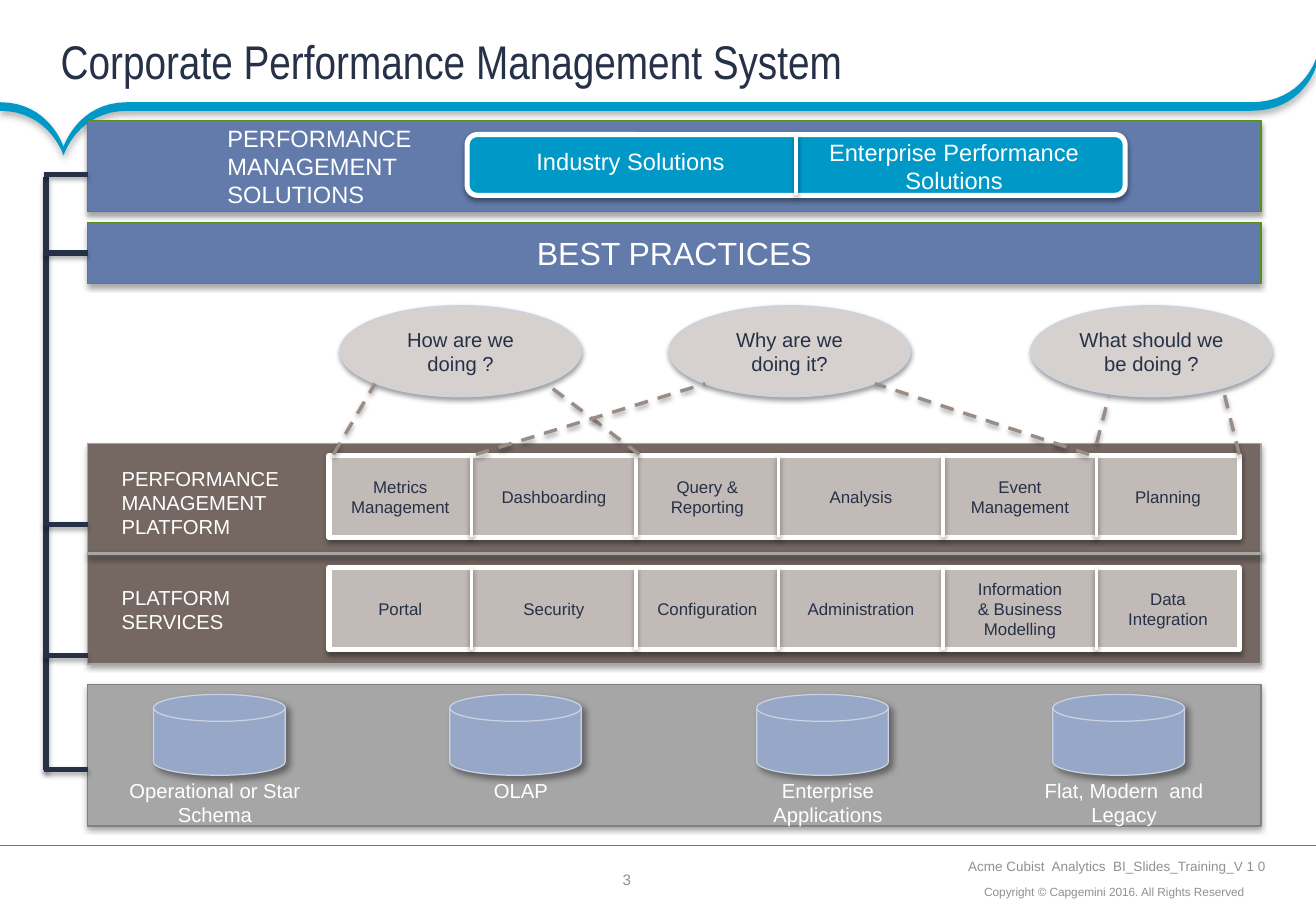
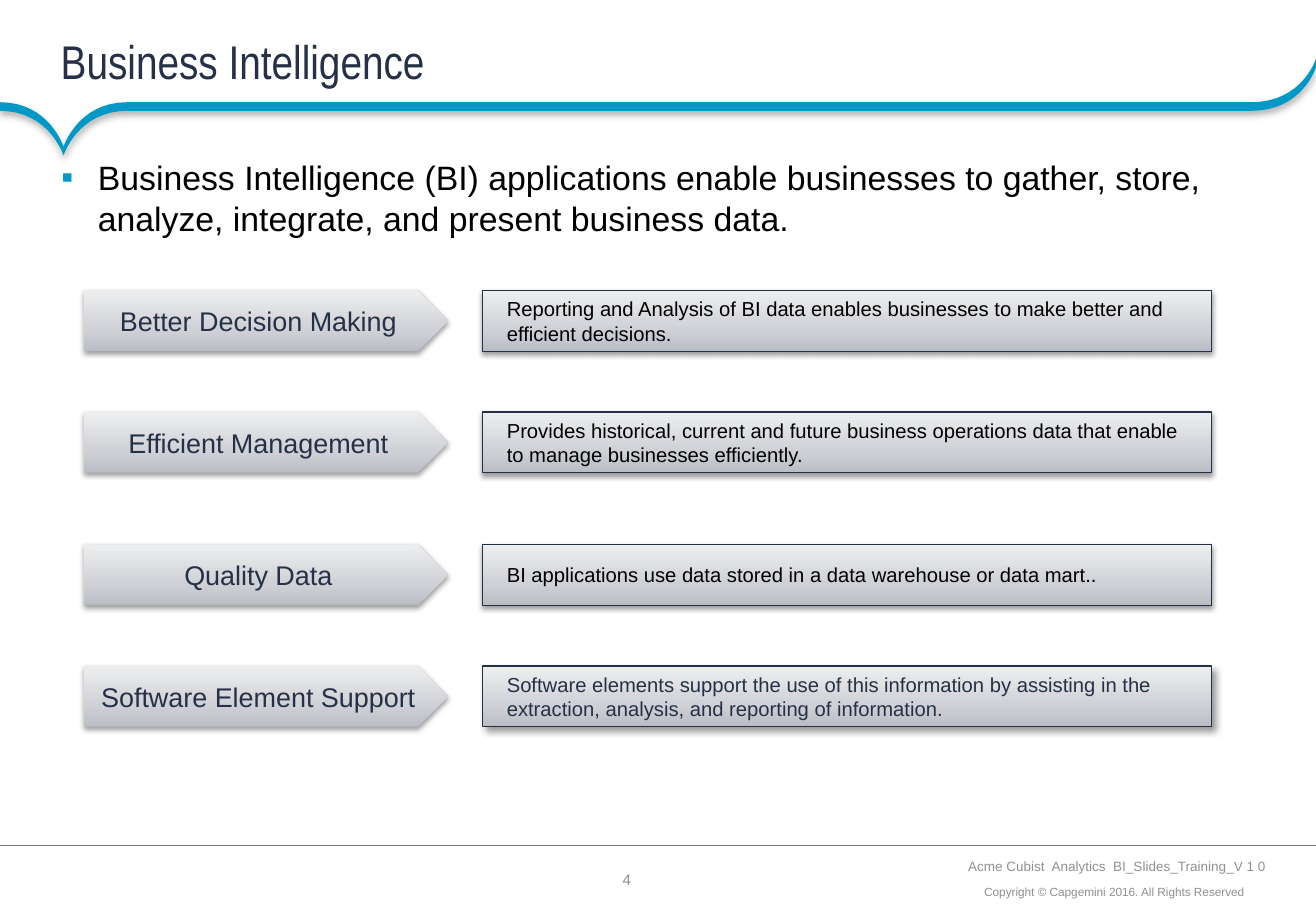
from dataclasses import dataclass

from lxml import etree
from pptx import Presentation
from pptx.dml.color import RGBColor
from pptx.enum.dml import MSO_LINE
from pptx.enum.shapes import MSO_CONNECTOR, MSO_SHAPE
from pptx.enum.text import MSO_ANCHOR, PP_ALIGN
from pptx.oxml.ns import qn
from pptx.util import Inches, Pt

RECT = MSO_SHAPE.RECTANGLE
ROUNDED = MSO_SHAPE.ROUNDED_RECTANGLE
ELLIPSE = MSO_SHAPE.OVAL
DISK = MSO_SHAPE.FLOWCHART_MAGNETIC_DISK
ARROW = MSO_SHAPE.PENTAGON
STRAIGHT = MSO_CONNECTOR.STRAIGHT
DASH = MSO_LINE.DASH
LEFT, CENTER, RIGHT = PP_ALIGN.LEFT, PP_ALIGN.CENTER, PP_ALIGN.RIGHT
TOP, MIDDLE, BOTTOM = MSO_ANCHOR.TOP, MSO_ANCHOR.MIDDLE, MSO_ANCHOR.BOTTOM
SIDE_TOP, SIDE_LEFT, SIDE_BOTTOM, SIDE_RIGHT = range(4)

WIDTH, HEIGHT = Inches(10.83), Inches(7.5)
COLS, ROWS = 120, 90


@dataclass(frozen=True)
class Theme:
    font: str = "Arial"
    title_font: str = "Arial Narrow"
    title_size: int = 28
    lead_size: int = 20
    banner_size: int = 19
    arrow_size: int = 16
    heading_size: int = 14
    label_size: int = 12
    cell_size: int = 10
    number_size: int = 9
    footer_size: int = 8
    copyright_size: int = 7
    navy: str = "263147"
    accent: str = "0098C7"
    white: str = "FFFFFF"
    black: str = "000000"
    muted: str = "909090"
    rule: str = "707C80"
    band: str = "627BAB"
    band_line: str = "578E1D"
    brown: str = "756862"
    cell: str = "C2BAB6"
    bubble: str = "D6D1CE"
    dash: str = "998C85"
    gray: str = "A6A6A6"
    gray_line: str = "808080"
    disk: str = "97A7C7"
    disk_line: str = "CBD3E3"
    box_line: str = "243046"
    metal: tuple = ((0, "BABDC4"), (35, "CFD1D6"), (100, "EDEEEF"))
    soft: tuple = (38, 3.1, 1.6, 90)
    panel: tuple = (35, 3.1, 1.8, 90)
    slanted: tuple = (40, 4, 3, 45)
    ribbon: tuple = (31, 4, 2, 90)


T = Theme()


def col(n):
    return round(WIDTH * n / COLS)


def row(n):
    return round(HEIGHT * n / ROWS)


def place(box):
    x, y, w, h = box
    return col(x), row(y), col(w), row(h)


def rgb(color):
    return RGBColor.from_string(color)


def set_shadow(sp, shadow):
    effects = etree.SubElement(sp._element.spPr, qn("a:effectLst"))
    if shadow:
        alpha, blur, dist, angle = shadow
        outer = etree.SubElement(
            effects, qn("a:outerShdw"), blurRad=str(Pt(blur)), dist=str(Pt(dist)),
            dir=str(angle * 60000), algn="ctr", rotWithShape="0")
        color = etree.SubElement(outer, qn("a:srgbClr"), val=T.black)
        etree.SubElement(color, qn("a:alpha"), val=str(alpha * 1000))


def set_fill(sp, fill):
    if isinstance(fill, str):
        sp.fill.solid()
        sp.fill.fore_color.rgb = rgb(fill)
        return
    sp.fill.gradient()
    sp.fill.gradient_angle = 90
    stops = sp._element.spPr.find(".//" + qn("a:gsLst"))
    for stop in list(stops):
        stops.remove(stop)
    for pos, color in fill:
        stop = etree.SubElement(stops, qn("a:gs"), pos=str(pos * 1000))
        etree.SubElement(stop, qn("a:srgbClr"), val=color)


def style(sp, fill, line, weight, shadow):
    set_fill(sp, fill)
    if line:
        sp.line.color.rgb = rgb(line)
        sp.line.width = Pt(weight)
    else:
        sp.line.fill.background()
    set_shadow(sp, shadow)


def write(sp, text, size, color, align=CENTER, anchor=MIDDLE,
          insets=(0.1, 0.05, 0.1, 0.05), font=T.font, wrap=True):
    tf = sp.text_frame
    tf.text = text
    tf.word_wrap = wrap
    tf.vertical_anchor = anchor
    tf.margin_left, tf.margin_top, tf.margin_right, tf.margin_bottom = map(Inches, insets)
    for p in tf.paragraphs:
        p.alignment = align
        for r in p.runs:
            r.font.name = font
            r.font.size = Pt(size)
            r.font.color.rgb = rgb(color)
    return sp


def add_shape(s, kind, box, fill, line=None, weight=0.75, shadow=T.soft):
    sp = s.shapes.add_shape(kind, *place(box))
    style(sp, fill, line, weight, shadow)
    return sp


def add_text(s, box, *args, **options):
    return write(s.shapes.add_textbox(*place(box)), *args, **options)


def add_line(s, start, end, color, weight, shadow=None, dash=None, begin=None, finish=None):
    line = s.shapes.add_connector(
        STRAIGHT, col(start[0]), row(start[1]), col(end[0]), row(end[1]))
    if begin:
        line.begin_connect(*begin)
    if finish:
        line.end_connect(*finish)
    line.line.color.rgb = rgb(color)
    line.line.width = Pt(weight)
    if dash:
        line.line.dash_style = dash
    set_shadow(line, shadow)


def curve(a, b, c, d, steps=16):
    points = []
    for i in range(steps + 1):
        t = i / steps
        weights = ((1 - t) ** 3, 3 * t * (1 - t) ** 2, 3 * t * t * (1 - t), t ** 3)
        points.append(tuple(sum(w * p[k] for w, p in zip(weights, (a, b, c, d)))
                            for k in (0, 1)))
    return points


def add_ribbon(s):
    tip, end, level, thickness = (5.8, 14.5), (COLS, 5.8), 10.1, 0.85
    upper = (curve((0, level), (4.5, level), tip, tip)
             + curve(tip, tip, (7.1, level), (11.6, level))
             + curve((114.1, level), (118.8, level), end, end))
    lower = [(x, y + thickness) for x, y in reversed(upper)]
    points = [(col(x), row(y)) for x, y in upper + lower]
    outline = s.shapes.build_freeform(*points[0], scale=1.0)
    outline.add_line_segments(points[1:], close=True)
    style(outline.convert_to_shape(), T.accent, None, 0, T.ribbon)


def add_base(prs, number):
    s = prs.slides.add_slide(prs.slide_layouts[6])
    small = (0.04,) * 4
    add_text(s, (56.3, 86, 1.7, 1.8), number, T.number_size, T.muted,
             insets=(0,) * 4, wrap=False)
    add_ribbon(s)
    sp = add_text(s, (79.3, 86.9, 34.6, 2.4),
                  "Copyright © Capgemini 2016. All Rights Reserved",
                  T.copyright_size, T.muted, RIGHT, BOTTOM, small)
    sp.text_frame.paragraphs[0].line_spacing = 0.9
    add_text(s, (77.1, 84.4, 38.8, 2.4), "Acme Cubist  Analytics  BI_Slides_Training_V 1 0",
             T.footer_size, T.muted, RIGHT, BOTTOM, small)
    add_line(s, (COLS, 83.5), (0, 83.5), T.rule, 0.75)
    return s


def add_title(s, text):
    add_text(s, (0, 0, COLS, 12), text, T.title_size, T.navy, LEFT,
             insets=(0.5, 0, 0, 0), font=T.title_font)


def add_band(s, y, h, fill, line):
    return add_shape(s, RECT, (8, y, 107, h), fill, line, shadow=T.panel)


def add_cell_row(s, y, labels):
    edges, h = (30, 43, 58, 71, 86, 100, 113), 8.1
    padding = {"Information & Business Modelling": 0.24, "Data Integration": 0.15}
    add_shape(s, RECT, (edges[0], y, edges[-1] - edges[0], h), T.cell, T.white, 3)
    for x in edges[1:-1]:
        add_line(s, (x, y), (x, y + h), T.white, 2, T.soft)
    for left, right, label in zip(edges, edges[1:], labels):
        pad = padding.get(label, 0.1)
        add_text(s, (left, y, right - left, h), label, T.cell_size, T.navy,
                 insets=(pad, 0.05, pad, 0.05))


def add_solutions(s):
    band = add_band(s, 11.9, 9, T.band, T.band_line)
    write(band, "PERFORMANCE\nMANAGEMENT\nSOLUTIONS", T.heading_size, T.white, LEFT,
          insets=(1.15, 0.05, 0.1, 0.05))
    pill = add_shape(s, ROUNDED, (42.6, 13.3, 60, 6), T.accent, T.white, 3)
    add_line(s, (72.6, 13.3), (72.6, 19.3), T.white, 2, T.soft,
             begin=(pill, SIDE_TOP), finish=(pill, SIDE_BOTTOM))
    for box, label in (((47, 13.9, 21, 4.1), "Industry Solutions"),
                       ((73, 13, 28, 6.8), "Enterprise Performance Solutions")):
        add_text(s, box, label, T.heading_size, T.white)


def add_platform(s):
    band = add_band(s, 43.8, 21.8, T.brown, T.gray)
    add_line(s, (8, 54.7), (115, 54.7), T.gray, 2, T.soft,
             begin=(band, SIDE_LEFT), finish=(band, SIDE_RIGHT))
    for y, h, label in ((45.4, 8.5, "PERFORMANCE MANAGEMENT PLATFORM"),
                        (57.2, 6, "PLATFORM SERVICES")):
        add_text(s, (10, y, 18, h), label, T.label_size, T.white, LEFT)
    add_cell_row(s, 45, ("Metrics Management", "Dashboarding", "Query & Reporting",
                         "Analysis", "Event Management", "Planning"))
    add_cell_row(s, 56.1, ("Portal", "Security", "Configuration", "Administration",
                           "Information & Business Modelling", "Data Integration"))


def add_storage(s):
    add_band(s, 67.6, 14, T.gray, T.gray_line)
    for x, label_x, label in ((14, 10.1, "Operational or Star Schema"), (41, 38, "OLAP"),
                              (69, 66, "Enterprise Applications"),
                              (96, 93, "Flat, Modern  and Legacy")):
        add_shape(s, DISK, (x, 68.6, 12, 8), T.disk, T.disk_line, shadow=T.slanted)
        add_text(s, (label_x, 76.3, 19, 6), label, T.label_size, T.white, anchor=TOP)


def add_questions(s):
    for x, question in ((31, "How are we doing ?"), (61, "Why are we doing it?"),
                        (94, "What should we be doing ?")):
        bubble = add_shape(s, ELLIPSE, (x, 30.2, 22, 9), T.bubble, T.disk_line)
        write(bubble, question, T.label_size, T.navy)
    for start, end in (((30.4, 44.9), (34.2, 37.9)), ((58.3, 44.9), (49.8, 37.9)),
                       ((43.4, 44.9), (64.3, 37.9)), ((99.3, 44.9), (79.8, 37.9)),
                       ((100, 43.8), (101.1, 39.2)), ((113, 44.9), (111.5, 38.3))):
        add_line(s, start, end, T.dash, 2, T.soft, DASH)


def build_system(prs):
    s = add_base(prs, "3")
    add_storage(s)
    add_platform(s)
    practices = add_band(s, 22, 6, T.band, T.band_line)
    write(practices, "BEST PRACTICES", T.banner_size, T.white)
    add_solutions(s)
    add_line(s, (4.2, 17.5), (4.2, 76.1), T.navy, 3, T.panel)
    for y, joined in ((17.2, None), (25, (practices, SIDE_LEFT)),
                      (51.8, None), (64.8, None), (76, None)):
        add_line(s, (4, y), (8, y), T.navy, 3, T.panel, finish=joined)
    add_questions(s)
    add_title(s, "Corporate Performance Management System")


def add_benefit(s, y, name, detail, color=T.black, shadow=T.soft):
    arrow = add_shape(s, ARROW, (7.65, y, 33.2, 6), T.metal)
    write(arrow, name, T.arrow_size, T.navy)
    box = add_shape(s, RECT, (44, y, 66.5, 6), T.metal, T.box_line, shadow=shadow)
    write(box, detail, T.label_size, color, LEFT, insets=(0.2, 0.1, 0.2, 0.1))


def add_lead(s, text):
    sp = add_text(s, (4.5, 14.9, 111, 8.4), text, T.lead_size, T.black, LEFT, TOP)
    p = sp.text_frame.paragraphs[0]
    p.space_after = Pt(6)
    props = p._p.get_or_add_pPr()
    props.set("marL", str(Inches(0.3)))
    props.set("indent", str(-Inches(0.3)))
    color = etree.SubElement(props, qn("a:buClr"))
    etree.SubElement(color, qn("a:srgbClr"), val=T.accent)
    etree.SubElement(props, qn("a:buFont"), typeface=T.font)
    etree.SubElement(props, qn("a:buChar"), char="▪")


def build_intelligence(prs):
    s = add_base(prs, "4")
    add_benefit(s, 28.7, "Better Decision Making",
                "Reporting and Analysis of BI data enables businesses to make better "
                "and efficient decisions.")
    add_benefit(s, 40.7, "Efficient Management",
                "Provides historical, current and future business operations data that "
                "enable to manage businesses efficiently.")
    add_benefit(s, 53.8, "Quality Data",
                "BI applications use data stored in a data warehouse or data mart..")
    add_benefit(s, 65.8, "Software Element Support",
                "Software elements support the use of this information by assisting in "
                "the extraction, analysis, and reporting of information.",
                T.navy, T.slanted)
    add_title(s, "Business Intelligence")
    add_lead(s, "Business Intelligence (BI) applications enable businesses to gather, "
                "store, analyze, integrate, and present business data.")


def main():
    prs = Presentation()
    prs.slide_width, prs.slide_height = WIDTH, HEIGHT
    build_system(prs)
    build_intelligence(prs)
    prs.save("out.pptx")


if __name__ == "__main__":
    main()
